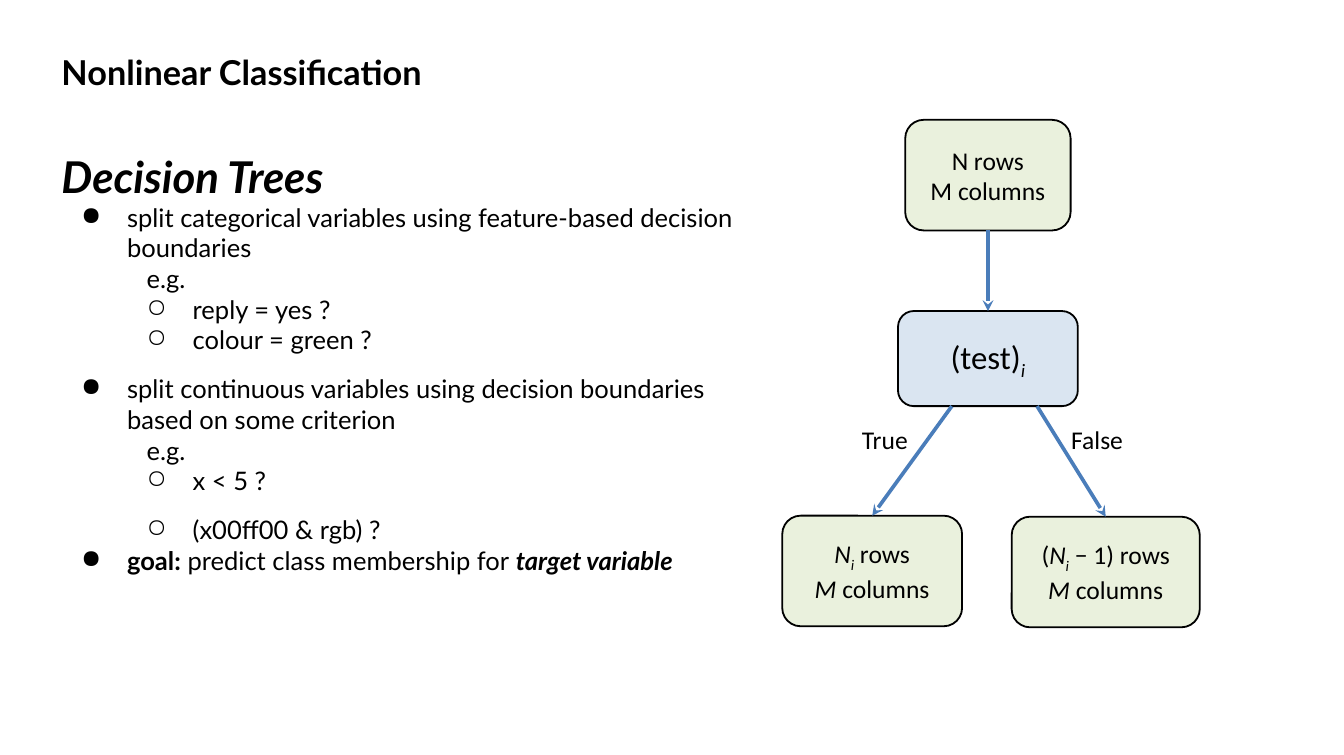
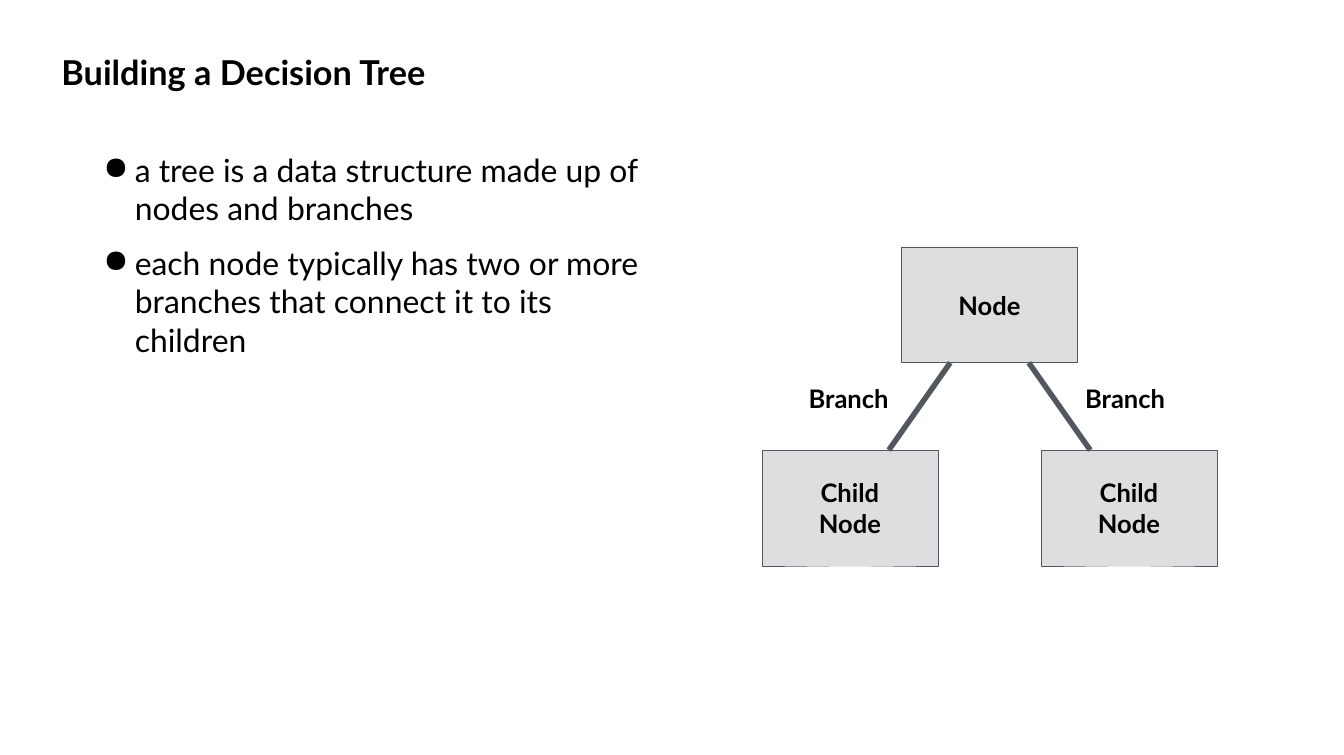
from pptx import Presentation
from pptx import util as u
from pptx.dml.color import RGBColor
from pptx.enum import shapes, text
from pptx.oxml.ns import qn
from lxml import etree

COLOURS = {
    "text": "000000",
    "data": "EAF1DD",
    "test": "DAE5F1",
    "arrow": "4A7DBA",
    "node": "DCDEE0",
    "branch": "53585F",
}
INDENTS = {
    "bullet": (1.27, -0.89, "●"),
    "example": (1.65, 0, None),
    "sub": (2.54, -0.89, "○"),
    "point": (1.22, -0.61, "●"),
}
LEFT, CENTRE, RIGHT = text.PP_ALIGN.LEFT, text.PP_ALIGN.CENTER, text.PP_ALIGN.RIGHT
TOP, MIDDLE = text.MSO_ANCHOR.TOP, text.MSO_ANCHOR.MIDDLE


def write_text(shape, paragraphs, font, size, align=LEFT, anchor=TOP, inset=0.25):
    frame = shape.text_frame
    frame.word_wrap = True
    frame.vertical_anchor = anchor
    frame.margin_left = frame.margin_right = u.Cm(inset)
    frame.margin_top = frame.margin_bottom = u.Cm(inset)
    for index, (kind, space_before, runs) in enumerate(paragraphs):
        paragraph = frame.paragraphs[0] if index == 0 else frame.add_paragraph()
        paragraph.alignment = align
        paragraph.space_before = u.Pt(space_before)
        if kind in INDENTS:
            margin, indent, bullet = INDENTS[kind]
            properties = paragraph._p.get_or_add_pPr()
            properties.set("marL", str(u.Cm(margin)))
            properties.set("indent", str(u.Cm(indent)))
            if bullet:
                colour = etree.SubElement(properties, qn("a:buClr"))
                etree.SubElement(colour, qn("a:srgbClr")).set("val", COLOURS["text"])
                etree.SubElement(properties, qn("a:buChar")).set("char", bullet)
        if kind == "sub":
            paragraph.level = 1
        for wording, style in runs:
            run = paragraph.add_run()
            run.text = wording
            run.font.name = font
            run.font.size = u.Pt(24 if kind == "heading" else size)
            run.font.bold = "bold" in style
            run.font.italic = "italic" in style
            run.font.color.rgb = RGBColor.from_string(COLOURS["text"])
            if "subscript" in style:
                run.font._element.set("baseline", "-25000")


def add_line(slide, start, end, colour, width, arrow=False):
    line = slide.shapes.add_connector(
        shapes.MSO_CONNECTOR.STRAIGHT, *[u.Cm(value) for value in start + end])
    line.line.color.rgb = RGBColor.from_string(COLOURS[colour])
    line.line.width = u.Pt(width)
    if arrow:
        tail = etree.SubElement(line.line._get_or_add_ln(), qn("a:tailEnd"))
        tail.set("type", "stealth")
    etree.SubElement(line._element.spPr, qn("a:effectLst"))
    return line


presentation = Presentation()
presentation.slide_width = u.Cm(26.01)
presentation.slide_height = u.Cm(14.61)

classification_body = [
    ("heading", 0, [("Decision Trees", "bold italic")]),
    ("bullet", 0, [("split categorical variables using feature-based decision boundaries", "")]),
    ("example", 0, [("e.g.", "")]),
    ("sub", 0, [("reply = yes ?", "")]),
    ("sub", 0, [("colour = green ?", "")]),
    ("bullet", 10, [("split continuous variables using decision boundaries based on some criterion", "")]),
    ("example", 0, [("e.g.", "")]),
    ("sub", 0, [("x < 5 ?", "")]),
    ("sub", 10, [("(x00ff00 & rgb) ?", "")]),
    ("bullet", 0, [("goal:", "bold"), (" predict class membership for ", ""),
                   ("target variable", "bold italic")]),
]
building_body = [
    ("point", 0, [("a tree is a data structure made up of nodes and branches", "")]),
    ("point", 9, [("each node typically has two or more branches that connect it to its children", "")]),
]
pages = [
    ("Nonlinear Classification", classification_body, 14, (0.94, 2.64, 14.22, 9.73)),
    ("Building a Decision Tree", building_body, 17.5, (1.14, 2.67, 11.48, 5.38)),
]
slides = []
for title, body, size, area in pages:
    slide = presentation.slides.add_slide(presentation.slide_layouts[6])
    title_box = slide.shapes.add_textbox(u.Cm(0.94), u.Cm(0.74), u.Cm(23.88), u.Cm(1.3))
    write_text(title_box, [("title", 0, [(title, "bold")])], "Lato", 18.8)
    body_box = slide.shapes.add_textbox(*[u.Cm(value) for value in area])
    write_text(body_box, body, "Lato", size)
    slides.append(slide)
classification_slide, building_slide = slides

columns_line = [("M", "italic"), (" columns", "")]
tree_x, node_x = 19.12, 19.15
tree_boxes = [
    ("root", tree_x, 2.32, 3.2, 2.14, "data", 14,
     [[("N rows", "")], [("M columns", "")]]),
    ("test", tree_x, 6.02, 3.48, 1.84, "test", 18,
     [[("(test)", ""), ("i", "italic subscript")]]),
    ("true", 16.88, 9.98, 3.48, 2.14, "data", 14,
     [[("N", "italic"), ("i", "italic subscript"), (" rows", "")], columns_line]),
    ("false", 21.4, 10, 3.64, 2.14, "data", 14,
     [[("(", ""), ("N", "italic"), ("i", "italic subscript"), (" − 1) rows", "")], columns_line]),
]
child_lines = [[("Child", "bold")], [("Node", "bold")]]
node_boxes = [
    ("node", node_x, 4.78, 3.4, 2.24, "node", 14, [[("Node", "bold")]]),
    ("left child", node_x - 2.7, 8.71, 3.4, 2.24, "node", 14, child_lines),
    ("right child", node_x + 2.7, 8.71, 3.4, 2.24, "node", 14, child_lines),
]
diagrams = [
    (classification_slide, tree_boxes, shapes.MSO_SHAPE.ROUNDED_RECTANGLE, "text", 1, "Calibri", 0.13),
    (building_slide, node_boxes, shapes.MSO_SHAPE.RECTANGLE, "branch", 0.25, "Lato", 0.25),
]
boxes = {}
for slide, box_list, outline, line_colour, line_width, font, inset in diagrams:
    for name, centre, top, width, height, fill, size, lines in box_list:
        box = slide.shapes.add_shape(
            outline, u.Cm(centre - width / 2), u.Cm(top), u.Cm(width), u.Cm(height))
        box.shadow.inherit = False
        box.fill.solid()
        box.fill.fore_color.rgb = RGBColor.from_string(COLOURS[fill])
        box.line.color.rgb = RGBColor.from_string(COLOURS[line_colour])
        box.line.width = u.Pt(line_width)
        paragraphs = [("label", 0, runs) for runs in lines]
        write_text(box, paragraphs, font, size, CENTRE, MIDDLE, inset)
        boxes[name] = box

root_arrow = add_line(classification_slide, (tree_x, 4.46), (tree_x, 6.02), "arrow", 2, True)
root_arrow.begin_connect(boxes["root"], 2)
root_arrow.end_connect(boxes["test"], 0)
for name, start_x, end in [("true", 18.42, (16.88, 9.98)), ("false", 20.07, (21.4, 10))]:
    arrow = add_line(classification_slide, (start_x, 7.86), end, "arrow", 2, True)
    arrow.end_connect(boxes[name], 0)
for side in (-1, 1):
    add_line(building_slide, (node_x + side * 0.76, 7.02),
             (node_x + side * 1.95, 8.71), "branch", 3)

labels = [
    (classification_slide, "True", "", 15.77, 8.08, 1.93, 0.81, RIGHT, "Calibri", 0.13),
    (classification_slide, "False", "", 20.6, 8.08, 1.93, 0.81, LEFT, "Calibri", 0.13),
    (building_slide, "Branch", "bold", 14.05, 7.16, 3.4, 1.12, RIGHT, "Lato", 0.25),
    (building_slide, "Branch", "bold", 20.75, 7.16, 3.4, 1.12, LEFT, "Lato", 0.25),
]
for slide, wording, style, left, top, width, height, align, font, inset in labels:
    label = slide.shapes.add_textbox(u.Cm(left), u.Cm(top), u.Cm(width), u.Cm(height))
    write_text(label, [("label", 0, [(wording, style)])], font, 14, align, inset=inset)

presentation.save("out.pptx")
